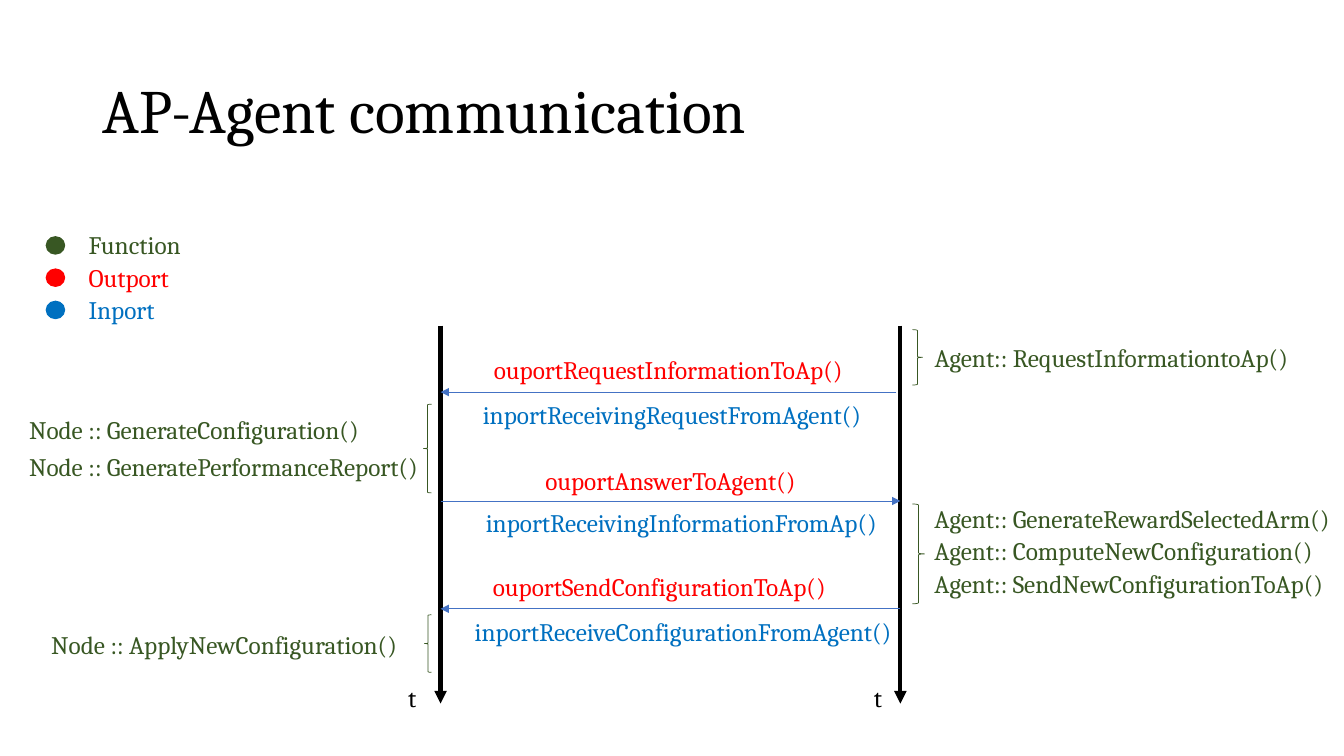
from dataclasses import dataclass

from lxml import etree
from pptx import Presentation
from pptx.dml.color import RGBColor
from pptx.enum.shapes import MSO_CONNECTOR, MSO_SHAPE
from pptx.enum.text import MSO_ANCHOR, PP_ALIGN
from pptx.oxml.ns import qn
from pptx.util import Inches, Pt

FONT = "Cambria"
BLACK = RGBColor(0x00, 0x00, 0x00)
GREEN = RGBColor(0x38, 0x57, 0x23)
RED = RGBColor(0xFF, 0x00, 0x00)
BLUE = RGBColor(0x00, 0x70, 0xC0)
ARROW_BLUE = RGBColor(0x44, 0x72, 0xC4)

STRAIGHT = MSO_CONNECTOR.STRAIGHT
OVAL = MSO_SHAPE.OVAL
LEFT_BRACE = MSO_SHAPE.LEFT_BRACE
RIGHT_BRACE = MSO_SHAPE.RIGHT_BRACE
MIDDLE = MSO_ANCHOR.MIDDLE
LEFT = PP_ALIGN.LEFT

NODE_X, AGENT_X = 4.37, 8.93
AXIS_TOP, AXIS_BOTTOM = 3.23, 6.98
LABEL_H = 0.4
LEGEND_TOP, LEGEND_STEP = 2.23, 0.32


@dataclass
class Label:
    text: str
    x: float
    y: float
    w: float
    color: RGBColor = GREEN


@dataclass
class Message:
    y: float
    start: float
    end: float
    outport: Label
    inport: Label


@dataclass
class Brace:
    kind: MSO_SHAPE
    x: float
    y: float
    w: float
    h: float


LEGEND = [("Function", GREEN), ("Outport", RED), ("Inport", BLUE)]

MESSAGES = [
    Message(3.89, 8.89, NODE_X,
            Label("ouportRequestInformationToAp()", 4.8, 3.47, 3.92, RED),
            Label("inportReceivingRequestFromAgent()", 4.69, 3.91, 4.14, BLUE)),
    Message(4.97, NODE_X, AGENT_X,
            Label("ouportAnswerToAgent()", 5.31, 4.57, 2.75, RED),
            Label("inportReceivingInformationFromAp()", 4.72, 4.98, 4.14, BLUE)),
    Message(6.04, AGENT_X, NODE_X,
            Label("ouportSendConfigurationToAp()", 4.79, 5.62, 3.52, RED),
            Label("inportReceiveConfigurationFromAgent()", 4.61, 6.07, 4.34, BLUE)),
]

FUNCTIONS = [
    Label("Node :: GenerateConfiguration()", 0.19, 4.06, 3.92),
    Label("Node :: GeneratePerformanceReport()", 0.19, 4.43, 4.28),
    Label("Node :: ApplyNewConfiguration()", 0.41, 6.19, 3.75),
    Label("Agent:: RequestInformationtoAp()", 9.17, 3.35, 3.92),
    Label("Agent:: GenerateRewardSelectedArm()", 9.17, 4.94, 4.16),
    Label("Agent:: ComputeNewConfiguration()", 9.17, 5.26, 4.16),
    Label("Agent:: SendNewConfigurationToAp()", 9.17, 5.59, 4.16),
]

BRACES = [
    Brace(LEFT_BRACE, 4.2, 4.01, 0.08, 0.88),
    Brace(LEFT_BRACE, 4.21, 6.1, 0.07, 0.57),
    Brace(RIGHT_BRACE, 9.05, 3.27, 0.1, 0.55),
    Brace(RIGHT_BRACE, 9.05, 5, 0.12, 0.99),
]


def write_text(tf, text: str, *, size: float = 18, color: RGBColor = BLACK) -> None:
    tf.word_wrap = True
    p = tf.paragraphs[0]
    p.alignment = LEFT
    r = p.add_run()
    r.text = text
    r.font.name = FONT
    r.font.size = Pt(size)
    r.font.color.rgb = color


def add_label(s, label: Label) -> None:
    sp = s.shapes.add_textbox(Inches(label.x), Inches(label.y),
                              Inches(label.w), Inches(LABEL_H))
    write_text(sp.text_frame, label.text, color=label.color)


def add_arrow(s, x1: float, y1: float, x2: float, y2: float,
              color: RGBColor, width: float) -> None:
    cn = s.shapes.add_connector(STRAIGHT, Inches(x1), Inches(y1), Inches(x2), Inches(y2))
    cn.line.color.rgb = color
    cn.line.width = Pt(width)
    ln = cn.line._get_or_add_ln()
    etree.SubElement(ln, qn("a:tailEnd"), type="triangle")
    etree.SubElement(cn._element.spPr, qn("a:effectLst"))


def add_dot(s, y: float, color: RGBColor) -> None:
    sp = s.shapes.add_shape(OVAL, Inches(0.46), Inches(y), Inches(0.18), Inches(0.17))
    sp.shadow.inherit = False
    sp.fill.solid()
    sp.fill.fore_color.rgb = color
    sp.line.color.rgb = color
    sp.line.width = Pt(1)


def add_brace(s, brace: Brace) -> None:
    sp = s.shapes.add_shape(brace.kind, Inches(brace.x), Inches(brace.y),
                            Inches(brace.w), Inches(brace.h))
    sp.shadow.inherit = False
    sp.fill.background()
    sp.line.color.rgb = GREEN
    sp.line.width = Pt(0.5)


def main() -> None:
    prs = Presentation()
    prs.slide_width, prs.slide_height = Inches(13.33), Inches(7.5)
    s = prs.slides.add_slide(prs.slide_layouts[5])

    # Title
    title = s.shapes.title
    title.left, title.top = Inches(0.92), Inches(0.4)
    title.width, title.height = Inches(11.5), Inches(1.45)
    title.text_frame.vertical_anchor = MIDDLE
    write_text(title.text_frame, "AP-Agent communication", size=44)
    title.text_frame.paragraphs[0].line_spacing = 0.9

    # Time axes
    for axis_x, t_x in ((NODE_X, 3.95), (AGENT_X, 8.57)):
        add_arrow(s, axis_x, AXIS_TOP, axis_x, AXIS_BOTTOM, BLACK, 3)
        add_label(s, Label("t", t_x, 6.72, 0.46, BLACK))

    # Messages between node and agent
    for msg in MESSAGES:
        add_arrow(s, msg.start, msg.y, msg.end, msg.y, ARROW_BLUE, 0.5)
        add_label(s, msg.outport)
        add_label(s, msg.inport)

    # Legend
    for i, (name, color) in enumerate(LEGEND):
        y = LEGEND_TOP + i * LEGEND_STEP
        add_dot(s, y + 0.12, color)
        add_label(s, Label(name, 0.78, y, 2.9, color))

    # Functions run on each side
    for label in FUNCTIONS:
        add_label(s, label)
    for brace in BRACES:
        add_brace(s, brace)

    prs.save("out.pptx")


if __name__ == "__main__":
    main()
